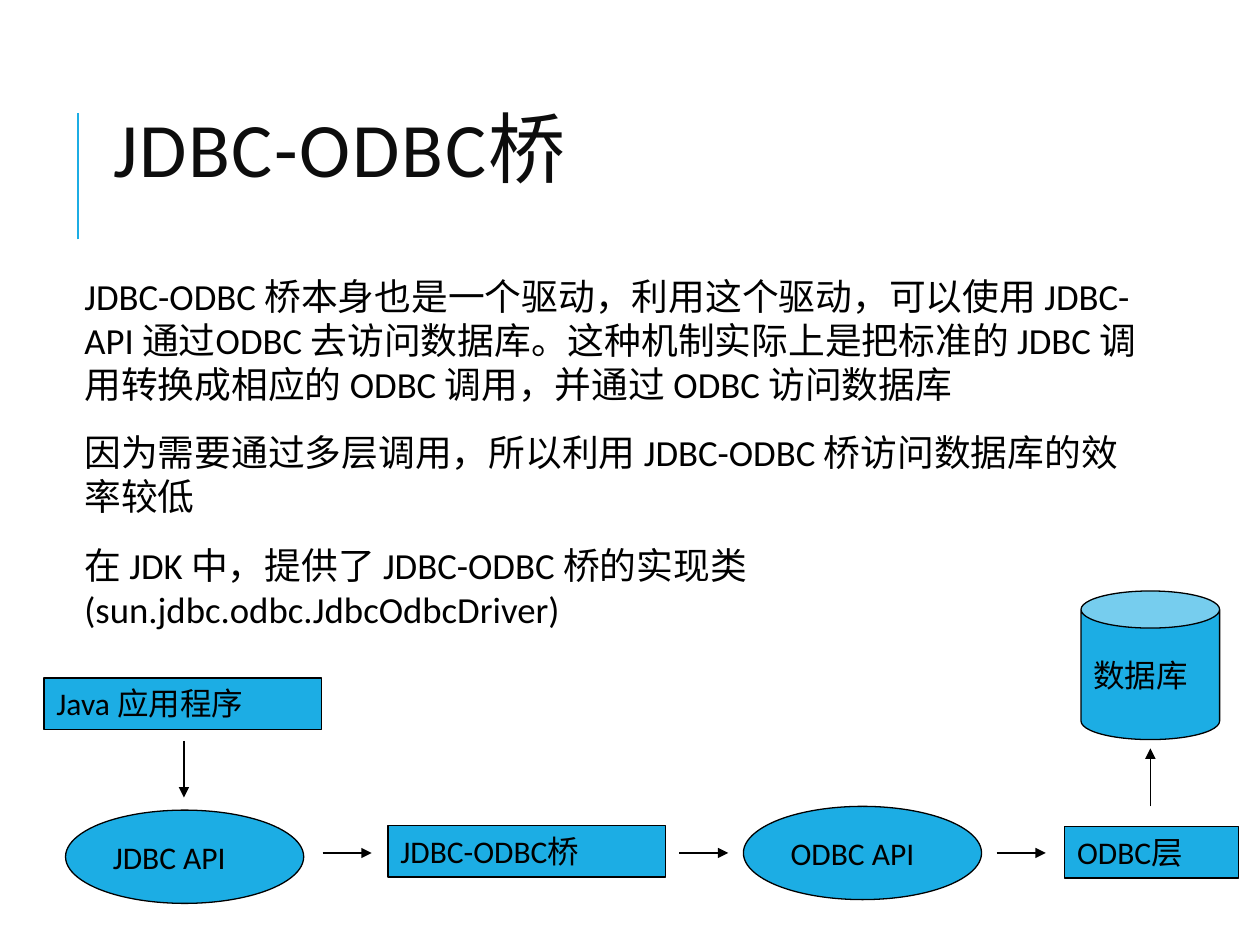
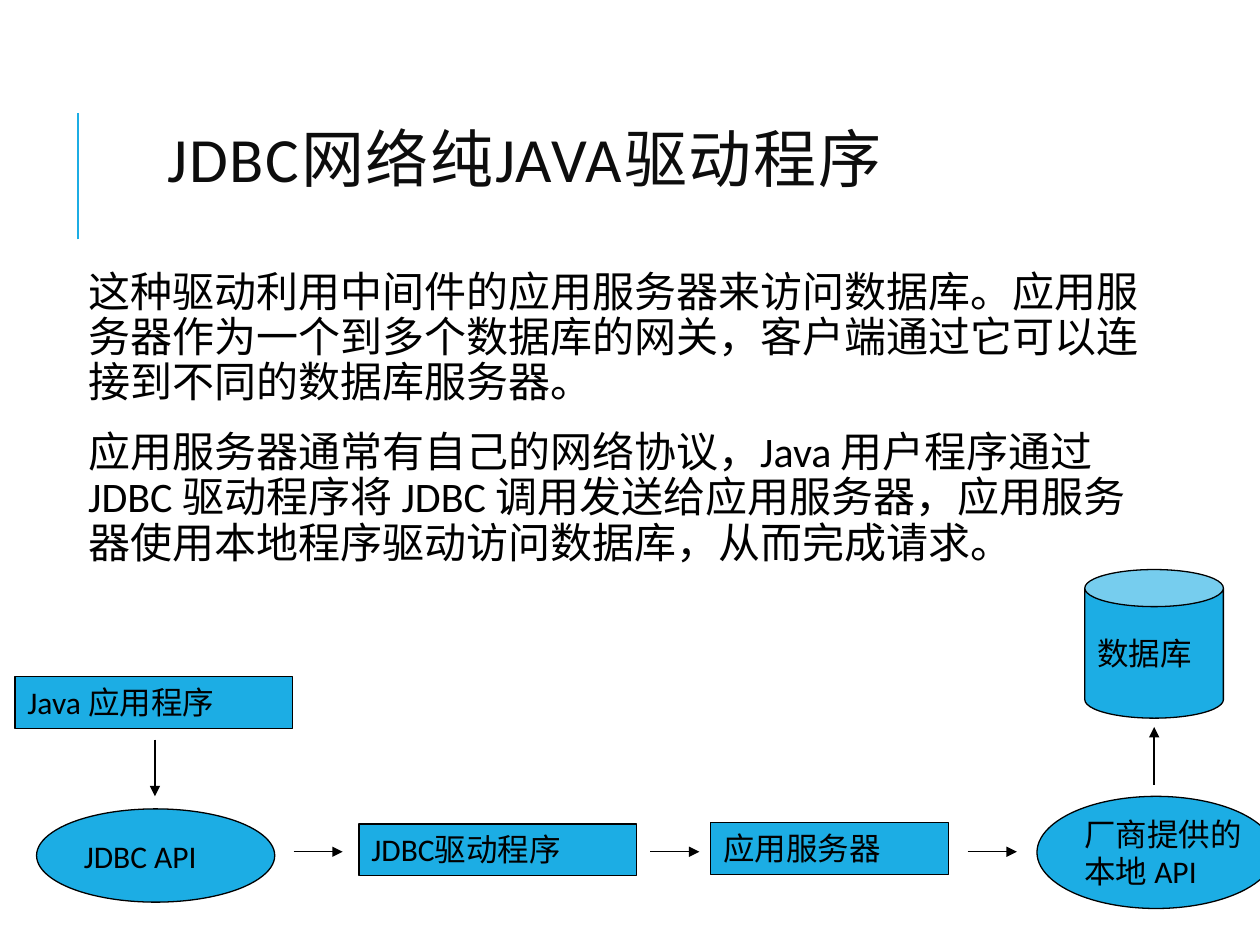
from lxml import etree
from pptx import Presentation
from pptx import util as u
from pptx.dml.color import RGBColor
from pptx.enum import shapes, text
from pptx.oxml.ns import qn

COLOURS = {"accent": "1CADE4", "title": "0D0D0D", "ink": "000000"}
FONT = "Calibri"
RECT = shapes.MSO_SHAPE.RECTANGLE
OVAL = shapes.MSO_SHAPE.OVAL
CAN = shapes.MSO_SHAPE.CAN
BOX_HEIGHT = 0.41
BOX_WIDTH = 2.2
OVAL_WIDTH = 1.89
OVAL_HEIGHT = 0.74


def colour(key):
    return RGBColor.from_string(COLOURS[key])


def add_run(paragraph, words, size, ink="ink"):
    run = paragraph.add_run()
    run.text = words
    run.font.size = u.Pt(size)
    run.font.name = FONT
    run.font.color.rgb = colour(ink)
    return run


def set_indent(paragraph, left, first=0):
    properties = paragraph._p.get_or_add_pPr()
    properties.set("marL", str(u.Inches(left)))
    properties.set("indent", str(u.Inches(first)))


def paragraphs_of(frame, lines):
    for index, words in enumerate(lines):
        yield (frame.add_paragraph() if index else frame.paragraphs[0]), words


def add_line(slide, start, end, ink="ink", width=0.75, arrow=True):
    line = slide.shapes.add_connector(
        shapes.MSO_CONNECTOR.STRAIGHT, *(u.Inches(n) for n in (*start, *end)))
    line.line.color.rgb = colour(ink)
    line.line.width = u.Pt(width)
    if arrow:
        outline = line.line._get_or_add_ln()
        etree.SubElement(outline, qn("a:tailEnd"), type="triangle")
    etree.SubElement(line._element.spPr, qn("a:effectLst"))


def add_node(slide, kind, box, *label):
    node = slide.shapes.add_shape(kind, *(u.Inches(n) for n in box))
    node.shadow.inherit = False
    node.fill.solid()
    node.fill.fore_color.rgb = colour("accent")
    node.line.color.rgb = colour("ink")
    node.line.width = u.Pt(0.75)
    frame = node.text_frame
    if kind == RECT:
        frame.word_wrap = True
        frame.vertical_anchor = text.MSO_ANCHOR.TOP
        frame.auto_size = text.MSO_AUTO_SIZE.SHAPE_TO_FIT_TEXT
    else:
        frame.word_wrap = False
        frame.vertical_anchor = text.MSO_ANCHOR.MIDDLE
    for paragraph, words in paragraphs_of(frame, label):
        set_indent(paragraph, 0.38, -0.38)
        paragraph.alignment = text.PP_ALIGN.LEFT
        add_run(paragraph, words, 18)
    return node


def add_title(slide, box, words, size):
    add_line(slide, (0.62, 1.9), (0.62, 0.9), "accent", 1.5, arrow=False)
    frame = slide.shapes.add_textbox(*(u.Inches(n) for n in box)).text_frame
    frame.word_wrap = True
    frame.vertical_anchor = text.MSO_ANCHOR.MIDDLE
    heading = frame.paragraphs[0]
    heading.line_spacing = 0.8
    run = add_run(heading, words, size, "title")
    run.font._element.set("spc", "100")


def add_body(slide, box, lines, size, spacing):
    frame = slide.shapes.add_textbox(*(u.Inches(n) for n in box)).text_frame
    frame.word_wrap = True
    frame.margin_left = frame.margin_right = u.Inches(0.05)
    frame.margin_top = frame.margin_bottom = u.Inches(0.05)
    for index, (paragraph, words) in enumerate(paragraphs_of(frame, lines)):
        set_indent(paragraph, 0.1)
        paragraph.line_spacing = spacing
        paragraph.space_before = u.Pt(12 if index else 0)
        paragraph.space_after = u.Pt(2)
        add_run(paragraph, words, size)


def add_call_chain(slide, left, top, driver):
    add_node(slide, RECT, (left, top, BOX_WIDTH, BOX_HEIGHT), "Java 应用程序")
    add_line(slide, (left + 1.11, top + 0.5), (left + 1.11, top + 0.95))
    add_node(slide, OVAL, (left + 0.17, top + 1.05, OVAL_WIDTH, OVAL_HEIGHT), "JDBC API")
    add_node(slide, RECT, (left + 2.73, top + 1.17, BOX_WIDTH, BOX_HEIGHT), driver)
    for step in (2.21, 5.04, 7.56):
        add_line(slide, (left + step, top + 1.39), (left + step + 0.39, top + 1.39))


def add_database(slide, left, top):
    database = add_node(slide, CAN, (left, top, 1.1, 1.18), "数据库")
    database.adjustments[0] = 0.268
    add_line(slide, (left + 0.55, top + 1.71), (left + 0.55, top + 1.25))


def build_bridge_slide(slide):
    add_title(slide, (0.8, 0.76, 9, 0.94), "JDBC-ODBC桥", 44)
    add_body(slide, (0.52, 2.12, 8.67, 3.13), [
        "JDBC-ODBC 桥本身也是一个驱动，利用这个驱动，可以使用 JDBC-API 通过ODBC 去访问数据库。"
        "这种机制实际上是把标准的 JDBC 调用转换成相应的 ODBC 调用，并通过 ODBC 访问数据库",
        "因为需要通过多层调用，所以利用 JDBC-ODBC 桥访问数据库的效率较低",
        "在 JDK 中，提供了 JDBC-ODBC 桥的实现类(sun.jdbc.odbc.JdbcOdbcDriver)",
    ], 21, 1.0)
    add_call_chain(slide, 0.35, 5.38, "JDBC-ODBC桥")
    add_node(slide, OVAL, (5.9, 6.4, OVAL_WIDTH, OVAL_HEIGHT), "ODBC API")
    add_node(slide, RECT, (8.45, 6.56, 1.38, BOX_HEIGHT), "ODBC层")
    add_database(slide, 8.58, 4.69)


def build_network_slide(slide):
    add_title(slide, (1.23, 0.52, 8.42, 1.57), "JDBC网络纯JAVA驱动程序", 36)
    add_body(slide, (0.55, 2.1, 8.75, 2.81), [
        "这种驱动利用中间件的应用服务器来访问数据库。应用服务器作为一个到多个数据库的网关，"
        "客户端通过它可以连接到不同的数据库服务器。",
        "应用服务器通常有自己的网络协议，Java 用户程序通过 JDBC 驱动程序将 JDBC 调用发送给应用服务器，"
        "应用服务器使用本地程序驱动访问数据库，从而完成请求。",
    ], 24, 0.9)
    add_call_chain(slide, 0.12, 5.37, "JDBC驱动程序")
    add_node(slide, RECT, (5.64, 6.53, OVAL_WIDTH, BOX_HEIGHT), "应用服务器")
    add_node(slide, OVAL, (8.23, 6.32, OVAL_WIDTH, 0.89), "厂商提供的", "本地 API")
    add_database(slide, 8.61, 4.52)


def main():
    deck = Presentation()
    deck.slide_width = u.Inches(10)
    deck.slide_height = u.Inches(7.5)
    for build in (build_bridge_slide, build_network_slide):
        build(deck.slides.add_slide(deck.slide_layouts[6]))
    deck.save("out.pptx")


if __name__ == "__main__":
    main()
